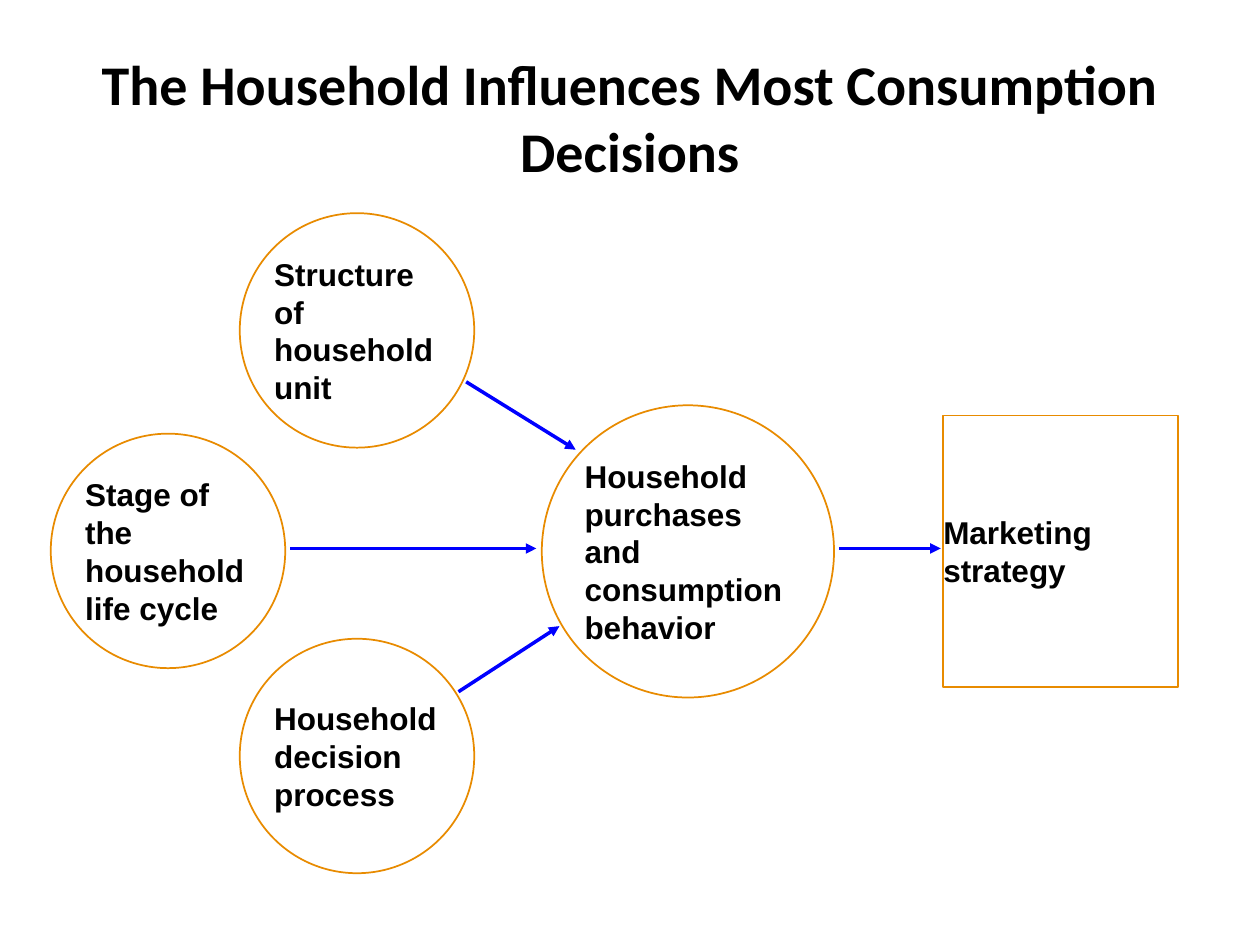
from lxml import etree
from pptx import Presentation
from pptx.dml.color import RGBColor
from pptx.enum.shapes import MSO_CONNECTOR, MSO_SHAPE
from pptx.enum.text import MSO_ANCHOR, PP_ALIGN
from pptx.oxml import parse_xml
from pptx.oxml.ns import qn
from pptx.util import Pt

BLACK = RGBColor(0, 0, 0)
WHITE = RGBColor(255, 255, 255)
ORANGE = RGBColor(0xE8, 0x8B, 0)
BLUE = RGBColor(0, 0, 255)
NS = "http://schemas.openxmlformats.org/drawingml/2006/main"

# Content: text, kind, left, top, width, height, fill
TITLE = "The Household Influences Most Consumption Decisions"
OVAL, RECT = MSO_SHAPE.OVAL, MSO_SHAPE.RECTANGLE
SMALL, LARGE = 134, 167
NODES = [
    ("Household purchases and consumption behavior",
     OVAL, 309.6, 231.6, LARGE, LARGE, None),
    ("Marketing strategy", RECT, 539, 237.5, SMALL, 155, WHITE),
    ("Structure of household unit", OVAL, 137, 121.8, SMALL, SMALL, WHITE),
    ("Stage of the household life cycle",
     OVAL, 29, 247.8, SMALL, SMALL, WHITE),
    ("Household decision process", OVAL, 137, 365, SMALL, SMALL, WHITE),
]
# Arrows: start x, y, end x, y
MID = 313.4
ARROWS = [
    (266.4, 218.2, 329, 257),
    (262, 395.3, 319.7, 357.8),
    (166, MID, 306.5, MID),
    (479.5, MID, 537.6, MID),
]


def write(frame, text, font, size, inset, align):
    frame.word_wrap = True
    frame.vertical_anchor = MSO_ANCHOR.MIDDLE
    frame.margin_left = frame.margin_right = Pt(inset)
    frame.margin_top = frame.margin_bottom = Pt(inset / 2)
    para = frame.paragraphs[0]
    para.alignment = align
    run = para.add_run()
    run.text = text
    face = para.font
    face.name, face.size, face.bold = font, Pt(size), True
    face.color.rgb = BLACK
    return run


def add_node(text, kind, left, top, width, height, fill):
    node = slide.shapes.add_shape(
        kind, Pt(left), Pt(top), Pt(width), Pt(height))
    node.shadow.inherit = False
    if fill is None:
        node.fill.background()
    else:
        node.fill.solid()
        node.fill.fore_color.rgb = fill
    node.line.color.rgb = ORANGE
    node.line.width = Pt(1)
    write(node.text_frame, text, "Arial", 18, 0, PP_ALIGN.LEFT)


def add_arrow(*ends):
    arrow = slide.shapes.add_connector(
        MSO_CONNECTOR.STRAIGHT, *[Pt(end) for end in ends])
    arrow.line.color.rgb = BLUE
    arrow.line.width = Pt(2)
    props = arrow.line._get_or_add_ln()
    etree.SubElement(props, qn("a:tailEnd"), type="triangle")
    etree.SubElement(arrow._element.spPr, qn("a:effectLst"))


deck = Presentation()
deck.slide_width, deck.slide_height = Pt(720), Pt(540)
slide = deck.slides.add_slide(deck.slide_layouts[6])

# Title with a soft text shadow
box = slide.shapes.add_textbox(Pt(36), Pt(21.6), Pt(648), Pt(90))
run = write(box.text_frame, TITLE, "Calibri", 32, 7.2, PP_ALIGN.CENTER)
run.font.color.rgb = BLACK
run.font.fill._xPr.find(qn("a:solidFill")).addnext(parse_xml(
    f'<a:effectLst xmlns:a="{NS}"><a:outerShdw blurRad="38100" dist="38100"'
    ' dir="2700000"><a:srgbClr val="EEECE1"/></a:outerShdw></a:effectLst>'))

# Diagram
for node in NODES:
    add_node(*node)
for arrow in ARROWS:
    add_arrow(*arrow)

deck.save("out.pptx")
